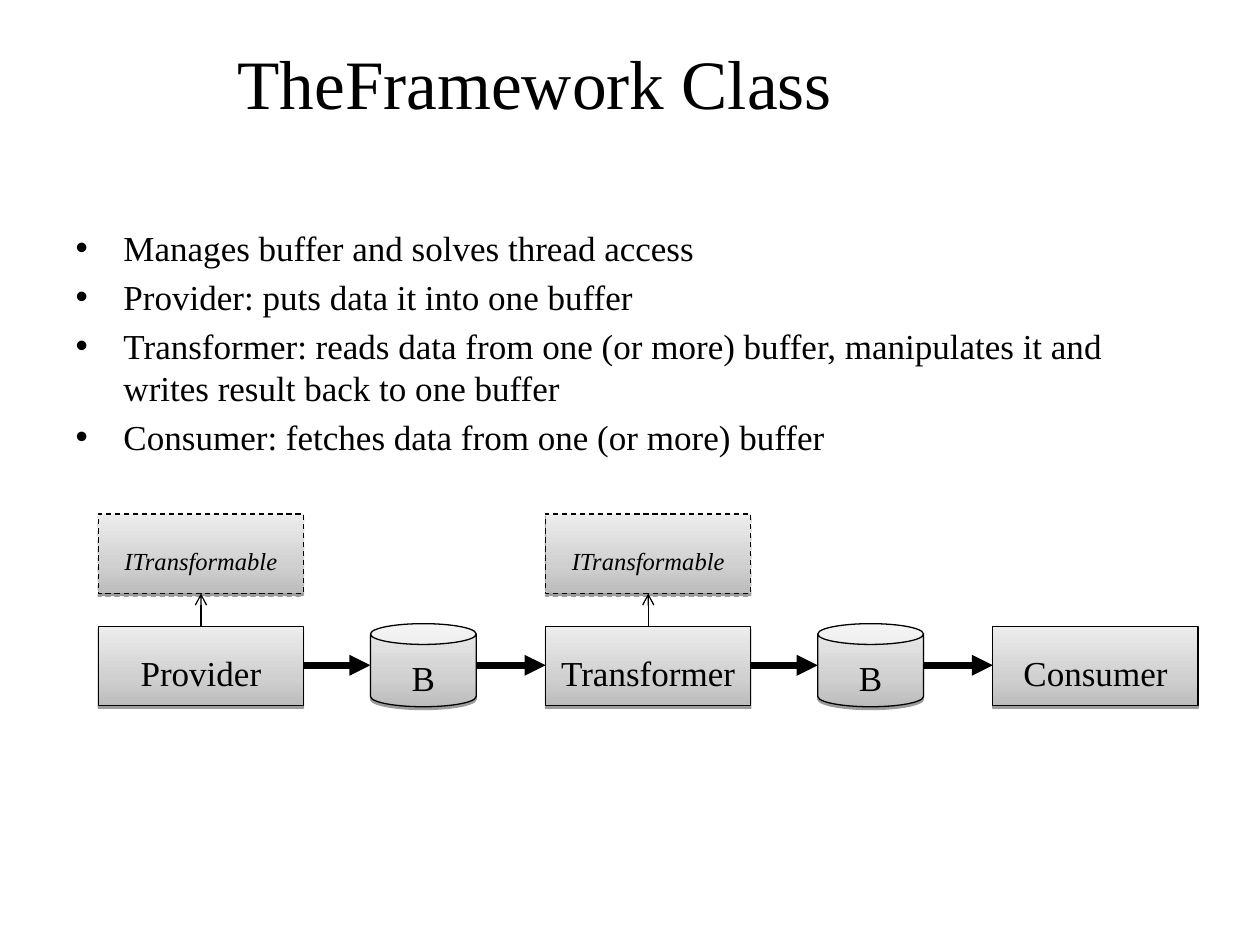
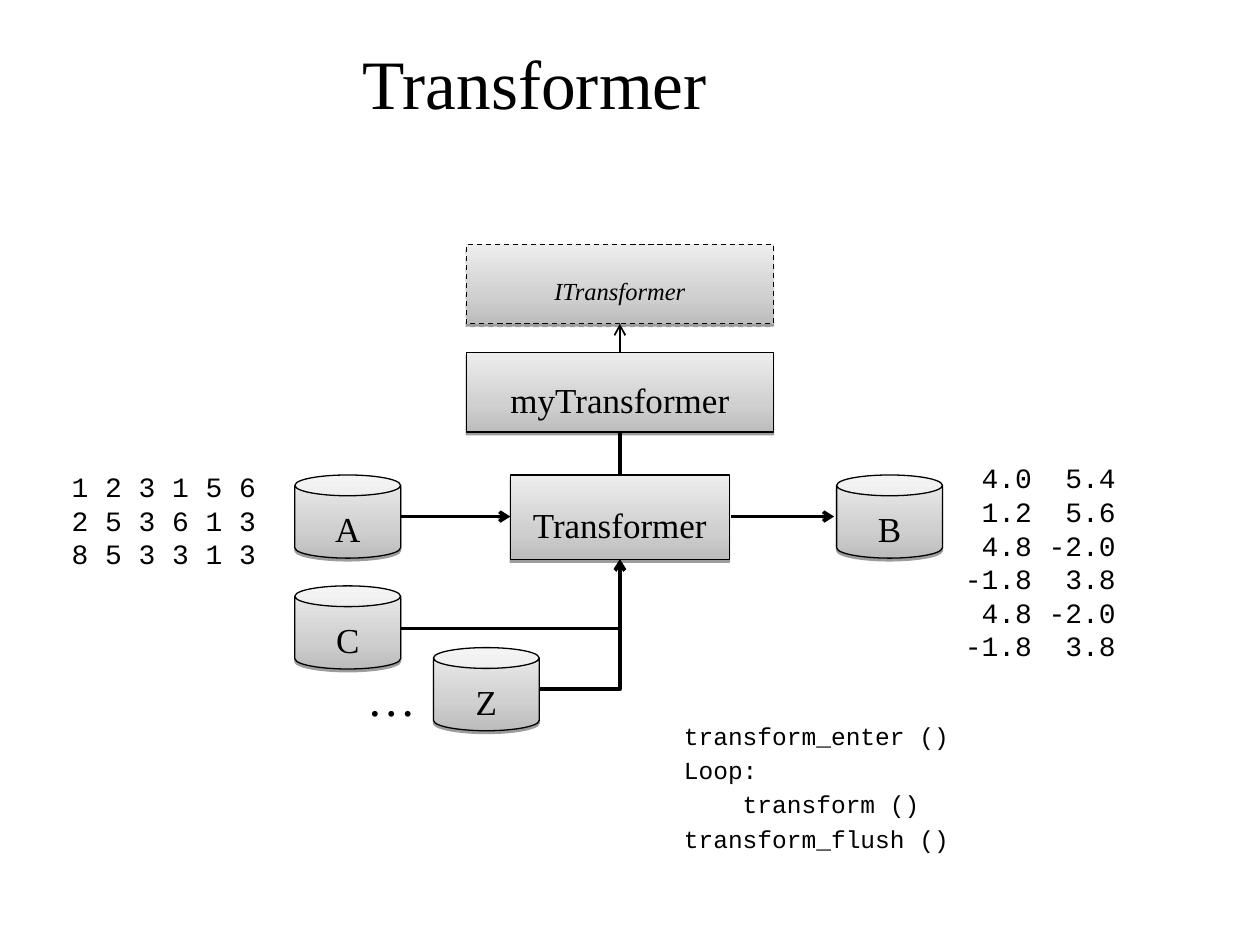
import copy
from dataclasses import dataclass

import pptx
import pptx.dml.color
import pptx.enum.dml
import pptx.enum.shapes
import pptx.enum.text
import pptx.oxml
import pptx.oxml.ns
import pptx.util
from pptx.presentation import Presentation
from pptx.shapes.base import BaseShape
from pptx.slide import Slide
from pptx.text.text import TextFrame, _Paragraph

Inches = pptx.util.Inches
Pt = pptx.util.Pt
Shape = pptx.enum.shapes.MSO_SHAPE
Align = pptx.enum.text.PP_ALIGN
Anchor = pptx.enum.text.MSO_ANCHOR
AutoSize = pptx.enum.text.MSO_AUTO_SIZE

COLORS = {"ink": "000000", "paper": "FFFFFF", "low": "BCBCBC", "middle": "D0D0D0", "high": "EDEDED"}
GRADIENT = [(0, "low"), (0.35, "middle"), (1, "high")]
SERIF = "Times New Roman"
MONO = "Courier New"
TITLE_ONLY = 5
TITLE_AND_CONTENT = 1

BOX_WIDTH, BOX_HEIGHT = 1.63, 0.63
CAN_WIDTH, CAN_HEIGHT = 0.84, 0.66


@dataclass
class Node:
    label: str
    left: float
    top: float
    width: float = BOX_WIDTH
    height: float = BOX_HEIGHT
    interface: bool = False
    buffer: bool = False


@dataclass
class Link:
    start: tuple[float, float]
    end: tuple[float, float]
    weight: float
    head: str = "arrow"
    bent: bool = False


@dataclass
class Note:
    lines: list[str]
    left: float
    top: float
    width: float
    height: float
    size: float
    font: str = MONO
    gap: float = 0
    centered: bool = False


def rgb(name: str) -> pptx.dml.color.RGBColor:
    return pptx.dml.color.RGBColor.from_string(COLORS[name])


def buffer_node(label: str, left: float, top: float) -> Node:
    return Node(label, left, top, CAN_WIDTH, CAN_HEIGHT, buffer=True)


def place(shape: BaseShape, left: float, top: float, width: float, height: float) -> None:
    shape.left, shape.top = Inches(left), Inches(top)
    shape.width, shape.height = Inches(width), Inches(height)


def style_paragraph(paragraph: _Paragraph, size: float, font: str = SERIF, italic: bool = False) -> None:
    for run in paragraph.runs:
        run.font.name = font
        run.font.size = Pt(size)
        run.font.italic = italic
        run.font.color.rgb = rgb("ink")


def set_label_frame(text_frame: TextFrame) -> None:
    text_frame.word_wrap = False
    text_frame.margin_top = Inches(0.16)
    text_frame.paragraphs[0].alignment = Align.CENTER


def add_titled_slide(presentation: Presentation, layout: int, title: str) -> Slide:
    slide = presentation.slides.add_slide(presentation.slide_layouts[layout])
    slide.background.fill.solid()
    slide.background.fill.fore_color.rgb = rgb("paper")
    place(slide.shapes.title, 1.33, 0.3, 5.83, 0.7)
    text_frame = slide.shapes.title.text_frame
    text_frame.text = title
    text_frame.auto_size = AutoSize.NONE
    text_frame.vertical_anchor = Anchor.MIDDLE
    text_frame.paragraphs[0].alignment = Align.CENTER
    style_paragraph(text_frame.paragraphs[0], 39.6)
    return slide


def fill_body(slide: Slide, items: list[str]) -> None:
    body = slide.placeholders[1]
    place(body, 0.5, 1.75, 9, 4.58)
    body.text_frame.text = "\n".join(items)
    body.text_frame.auto_size = AutoSize.NONE
    for index, paragraph in enumerate(body.text_frame.paragraphs):
        properties = paragraph._p.get_or_add_pPr()
        properties.set("marL", str(Inches(0.38)))
        properties.set("indent", str(-Inches(0.38)))
        bullet = pptx.oxml.ns.qn("a:buChar")
        properties.makeelement(bullet)
        properties.append(properties.makeelement(bullet, {"char": "•"}))
        paragraph.space_before = Pt(4 if index else 0)
        style_paragraph(paragraph, 20)


def apply_gradient(shape: BaseShape) -> None:
    shape.fill.gradient()
    shape.fill.gradient_angle = 90
    stop_list = shape._element.spPr.find(".//" + pptx.oxml.ns.qn("a:gsLst"))
    stop_list.append(copy.deepcopy(stop_list[0]))
    for stop, (position, color) in zip(shape.fill.gradient_stops, GRADIENT):
        stop.position = position
        stop.color.rgb = rgb(color)


def apply_shadow(shape: BaseShape) -> None:
    shape.shadow.inherit = False
    effects = shape._element.spPr.find(pptx.oxml.ns.qn("a:effectLst"))
    effects.append(pptx.oxml.parse_xml(
        f'<a:outerShdw {pptx.oxml.ns.nsdecls("a")} blurRad="0" dist="{Pt(1.6)}" dir="5400000" rotWithShape="0">'
        f'<a:srgbClr val="{COLORS["ink"]}"><a:alpha val="38000"/></a:srgbClr></a:outerShdw>'))


def add_node(slide: Slide, node: Node) -> None:
    kind = Shape.CAN if node.buffer else Shape.RECTANGLE
    shape = slide.shapes.add_shape(
        kind, Inches(node.left), Inches(node.top), Inches(node.width), Inches(node.height))
    apply_gradient(shape)
    shape.line.color.rgb = rgb("ink")
    shape.line.width = Pt(0.75)
    if node.interface:
        shape.line.dash_style = pptx.enum.dml.MSO_LINE.DASH
    apply_shadow(shape)
    shape.text_frame.text = node.label
    shape.text_frame.vertical_anchor = Anchor.MIDDLE
    set_label_frame(shape.text_frame)
    style_paragraph(shape.text_frame.paragraphs[0], 14 if node.interface else 20, italic=node.interface)


def add_link(slide: Slide, link: Link) -> None:
    kinds = pptx.enum.shapes.MSO_CONNECTOR
    connector = slide.shapes.add_connector(
        kinds.ELBOW if link.bent else kinds.STRAIGHT,
        *(Inches(value) for value in link.start + link.end))
    connector.line.color.rgb = rgb("ink")
    connector.line.width = Pt(link.weight)
    properties = connector._element.spPr
    if link.bent:
        properties.find(pptx.oxml.ns.qn("a:prstGeom")).set("prst", "bentConnector2")
    if link.head:
        line = connector.line._get_or_add_ln()
        line.append(line.makeelement(pptx.oxml.ns.qn("a:tailEnd"), {"type": link.head}))
    properties.append(properties.makeelement(pptx.oxml.ns.qn("a:effectLst")))


def add_note(slide: Slide, note: Note) -> None:
    box = slide.shapes.add_textbox(
        Inches(note.left), Inches(note.top), Inches(note.width), Inches(note.height))
    text_frame = box.text_frame
    text_frame.text = "\n".join(note.lines)
    text_frame.word_wrap = True
    text_frame.auto_size = AutoSize.SHAPE_TO_FIT_TEXT
    if note.centered:
        set_label_frame(text_frame)
    for index, paragraph in enumerate(text_frame.paragraphs):
        paragraph.space_before = Pt(note.gap if index else 0)
        style_paragraph(paragraph, note.size, note.font)


def draw(slide: Slide, nodes: list[Node], links: list[Link], notes: list[Note]) -> None:
    for node in nodes:
        add_node(slide, node)
    for link in links:
        add_link(slide, link)
    for note in notes:
        add_note(slide, note)


def build_framework_slide(presentation: Presentation) -> None:
    slide = add_titled_slide(presentation, TITLE_AND_CONTENT, "TheFramework Class")
    fill_body(slide, [
        "Manages buffer and solves thread access",
        "Provider: puts data it into one buffer",
        "Transformer: reads data from one (or more) buffer, manipulates it and writes result back to one buffer",
        "Consumer: fetches data from one (or more) buffer",
    ])
    stage_left, pitch, stage_top, interface_top, axis = 0.78, 3.55, 4.97, 4.08, 5.28
    stages = ["Provider", "Transformer", "Consumer"]
    nodes: list[Node] = []
    links: list[Link] = []
    for index, stage in enumerate(stages):
        left = stage_left + index * pitch
        nodes.append(Node(stage, left, stage_top))
        if index == len(stages) - 1:
            break
        right, center, can_left = left + BOX_WIDTH, left + BOX_WIDTH / 2, left + 2.16
        nodes.append(Node("ITransformable", left, interface_top, interface=True))
        nodes.append(buffer_node("B", can_left, 4.95))
        links.append(Link((center, stage_top), (center, interface_top + BOX_HEIGHT), 0.75))
        links.append(Link((right, axis), (can_left, axis), 4, "triangle"))
        links.append(Link((can_left + CAN_WIDTH, axis), (left + pitch, axis), 4, "triangle"))
    draw(slide, nodes, links, [])


def build_transformer_slide(presentation: Presentation) -> None:
    slide = add_titled_slide(presentation, TITLE_ONLY, "Transformer")
    center, axis, row_top, bottom = 4.92, 4.1, 3.77, 4.44
    nodes = [
        buffer_node("A", 2.34, row_top),
        buffer_node("B", 6.64, row_top),
        Node("Transformer", 4.05, row_top, 1.74, 0.67),
        Node("myTransformer", 3.7, 2.8, 2.44),
        Node("ITransformer", 3.7, 1.94, 2.44, interface=True),
        buffer_node("C", 2.34, 4.65),
        buffer_node("Z", 3.44, 5.14),
    ]
    links = [
        Link((3.18, axis), (4.05, axis), 2),
        Link((5.8, axis), (6.62, axis), 2),
        Link((center, 3.43), (center, row_top), 2, head=""),
        Link((4.28, 5.47), (center, bottom), 2, bent=True),
        Link((3.18, 4.99), (center, bottom), 2, bent=True),
        Link((center, 2.8), (center, 2.57), 1),
    ]
    notes = [
        Note([" 4.0  5.4", " 1.2  5.6\v 4.8 -2.0", "-1.8  3.8", " 4.8 -2.0", "-1.8  3.8"],
             7.56, 3.61, 1.64, 1.7, 16),
        Note(["1 2 3 1 5 6\v2 5 3 6 1 3", "8 5 3 3 1 3"], 0.47, 3.68, 1.81, 0.9, 16),
        Note(["…"], 2.81, 5.14, 0.59, 0.68, 28, SERIF, centered=True),
        Note(["transform_enter ()", "Loop:", "    transform ()", "transform_flush ()"],
             5.33, 5.67, 3.2, 1.18, 14, gap=2.8),
    ]
    draw(slide, nodes, links, notes)


def main() -> None:
    presentation = pptx.Presentation()
    presentation.slide_width = Inches(10)
    presentation.slide_height = Inches(7.5)
    build_framework_slide(presentation)
    build_transformer_slide(presentation)
    presentation.save("out.pptx")


if __name__ == "__main__":
    main()
